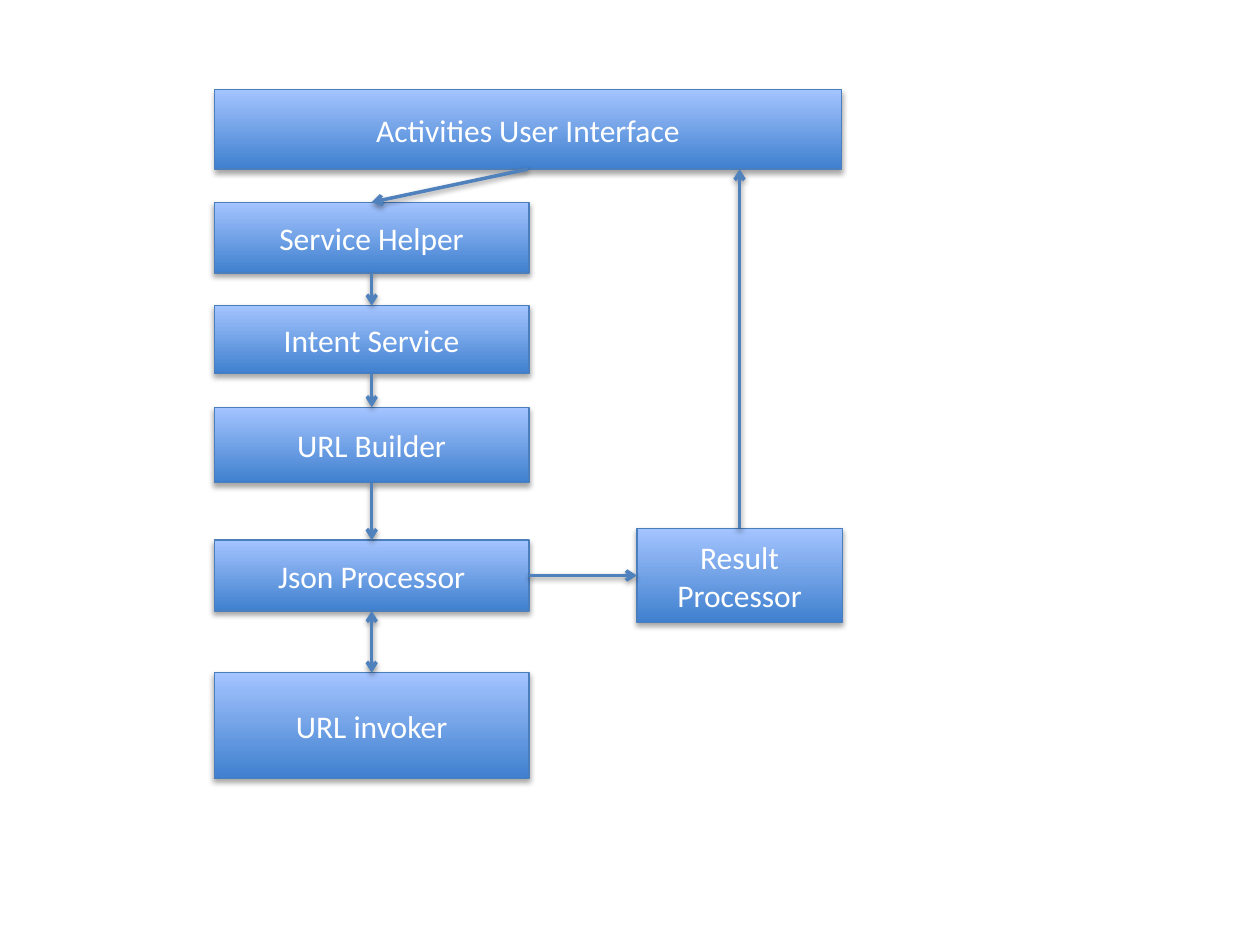
from dataclasses import dataclass
from enum import IntEnum

from lxml import etree
from pptx import Presentation
from pptx import util as u
from pptx.dml.color import RGBColor
from pptx.enum import shapes, text
from pptx.oxml import parse_xml
from pptx.oxml.ns import nsdecls, qn
from pptx.shapes.autoshape import Shape
from pptx.shapes.connector import Connector
from pptx.slide import Slide

SLIDE_WIDTH = u.Inches(10)
SLIDE_HEIGHT = u.Inches(7.5)
GRADIENT_BOTTOM = RGBColor(0x3F, 0x80, 0xCE)
GRADIENT_TOP = RGBColor(0xA4, 0xC4, 0xFF)
BOX_BORDER = RGBColor(0x4B, 0x7E, 0xBC)
ARROW_COLOR = RGBColor(0x4F, 0x81, 0xBD)
LABEL_COLOR = RGBColor(0xFF, 0xFF, 0xFF)
SHADOW_COLOR = RGBColor(0x00, 0x00, 0x00)
FONT = "Calibri"
STACK_LEFT = 17
STACK_WIDTH = 25


class Side(IntEnum):
    TOP = 0
    LEFT = 1
    BOTTOM = 2
    RIGHT = 3


@dataclass(frozen=True)
class Box:
    label: str
    top: float
    height: float
    left: float = STACK_LEFT
    width: float = STACK_WIDTH


@dataclass(frozen=True)
class Arrow:
    start: Box
    end: Box
    start_side: Side = Side.BOTTOM
    end_side: Side = Side.TOP
    two_way: bool = False


INTERFACE = Box("Activities User Interface", 9.5, 8.4, width=49.8)
HELPER = Box("Service Helper", 21.4, 7.5)
INTENT = Box("Intent Service", 32.35, 7.2)
BUILDER = Box("URL Builder", 43.1, 8)
JSON = Box("Json Processor", 57.15, 7.5)
INVOKER = Box("URL invoker", 71.2, 11.2)
RESULT = Box("Result Processor", 55.9, 10, left=50.55, width=16.3)
BOXES = (RESULT, INTERFACE, HELPER, JSON, INTENT, BUILDER, INVOKER)

ARROWS = (
    Arrow(INTERFACE, HELPER),
    Arrow(HELPER, INTENT),
    Arrow(INTENT, BUILDER),
    Arrow(BUILDER, JSON),
    Arrow(JSON, INVOKER, two_way=True),
    Arrow(JSON, RESULT, Side.RIGHT, Side.LEFT),
)


def across(percent: float) -> int:
    return round(SLIDE_WIDTH * percent / 100)


def down(percent: float) -> int:
    return round(SLIDE_HEIGHT * percent / 100)


def add_shadow(shape: Shape | Connector, distance: float, opacity: int) -> None:
    shape._element.spPr.append(parse_xml(
        f'<a:effectLst {nsdecls("a")}>'
        f'<a:outerShdw blurRad="{u.Pt(3.15)}" dist="{u.Pt(distance)}" '
        f'dir="5400000" rotWithShape="0"><a:srgbClr val="{SHADOW_COLOR}">'
        f'<a:alpha val="{opacity * 1000}"/></a:srgbClr></a:outerShdw></a:effectLst>'
    ))


def draw_box(slide: Slide, box: Box) -> Shape:
    shape = slide.shapes.add_shape(
        shapes.MSO_SHAPE.RECTANGLE,
        across(box.left), down(box.top), across(box.width), down(box.height),
    )
    shape.fill.gradient()
    shape.fill.gradient_angle = 90
    for stop, color in zip(shape.fill.gradient_stops, (GRADIENT_BOTTOM, GRADIENT_TOP)):
        stop.color.rgb = color
    shape.line.color.rgb = BOX_BORDER
    shape.line.width = u.Pt(0.75)
    add_shadow(shape, distance=1.8, opacity=35)
    shape.text_frame.vertical_anchor = text.MSO_ANCHOR.MIDDLE
    paragraph = shape.text_frame.paragraphs[0]
    paragraph.alignment = text.PP_ALIGN.CENTER
    run = paragraph.add_run()
    run.text = box.label
    run.font.name = FONT
    run.font.size = u.Pt(18)
    run.font.color.rgb = LABEL_COLOR
    return shape


def draw_arrow(slide: Slide, x: int, start_y: int, end_y: int,
               two_way: bool = False) -> Connector:
    connector = slide.shapes.add_connector(
        shapes.MSO_CONNECTOR.STRAIGHT, x, start_y, x, end_y)
    connector.line.color.rgb = ARROW_COLOR
    connector.line.width = u.Pt(2)
    line = connector.line._get_or_add_ln()
    for tag in ("a:headEnd", "a:tailEnd") if two_way else ("a:tailEnd",):
        etree.SubElement(line, qn(tag), type="arrow")
    add_shadow(connector, distance=1.6, opacity=38)
    return connector


def main() -> None:
    presentation = Presentation()
    presentation.slide_width = SLIDE_WIDTH
    presentation.slide_height = SLIDE_HEIGHT
    slide = presentation.slides.add_slide(presentation.slide_layouts.get_by_name("Blank"))

    drawn = {box: draw_box(slide, box) for box in BOXES}
    for arrow in ARROWS:
        start, end = drawn[arrow.start], drawn[arrow.end]
        connector = draw_arrow(slide, start.left, start.top, end.top, arrow.two_way)
        connector.begin_connect(start, arrow.start_side)
        connector.end_connect(end, arrow.end_side)

    result, interface = drawn[RESULT], drawn[INTERFACE]
    return_arrow = draw_arrow(slide, result.left + result.width // 2,
                              result.top, interface.top + interface.height)
    return_arrow.begin_connect(result, Side.TOP)

    presentation.save("out.pptx")


if __name__ == "__main__":
    main()
